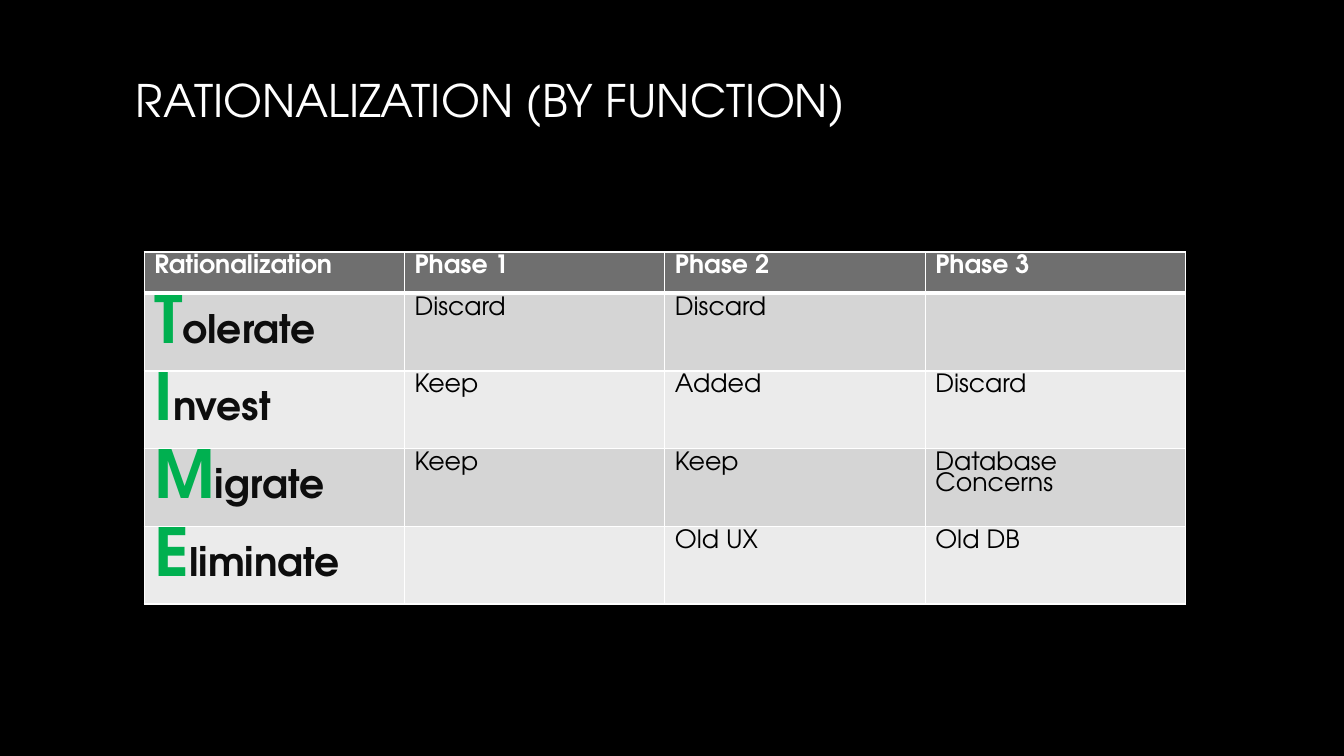
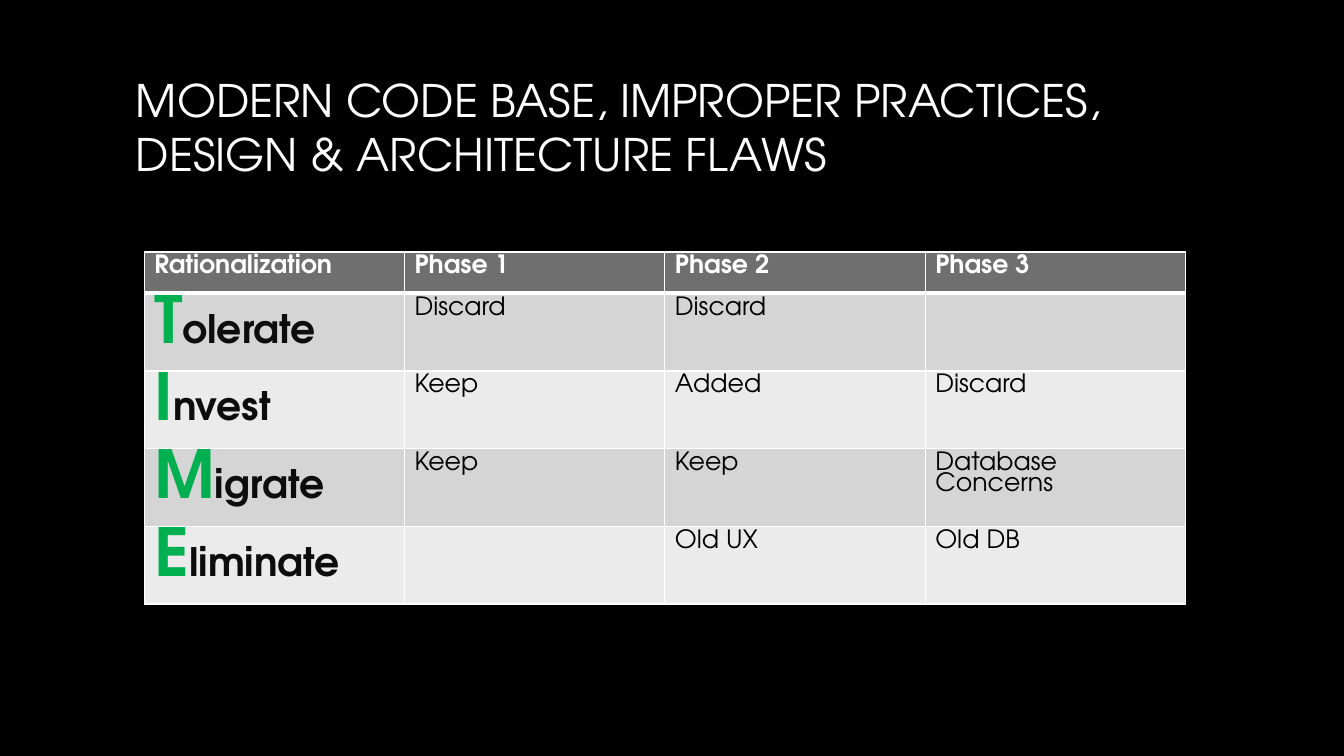
"""Build two rationalization slides that share one title style and one phase table."""
import pptx
import pptx.dml.color
import pptx.enum.text
import pptx.oxml.ns
import pptx.util
from lxml import etree

Inches, Pt = pptx.util.Inches, pptx.util.Pt
RGBColor = pptx.dml.color.RGBColor

TITLES = [
    "RATIONALIZATION (BY FUNCTION)",
    "MODERN CODE BASE, IMPROPER PRACTICES, DESIGN & ARCHITECTURE FLAWS",
]
HEADINGS = ["Rationalization", "Phase 1", "Phase 2", "Phase 3"]
STRATEGIES = [
    ["Tolerate", "Discard", "Discard", ""],
    ["Invest", "Keep", "Added", "Discard"],
    ["Migrate", "Keep", "Keep", "Database Concerns"],
    ["Eliminate", "", "Old UX", "Old DB"],
]

FONT = "TeX Gyre Adventor"
BLACK = RGBColor(0x00, 0x00, 0x00)
WHITE = RGBColor(0xFF, 0xFF, 0xFF)
SILVER = RGBColor(0xA6, 0xA6, 0xA6)
GREEN = RGBColor(0x00, 0xB0, 0x50)
INK = RGBColor(0x0D, 0x0D, 0x0D)
HEADER_FILL = RGBColor(0x6F, 0x6F, 0x6F)
BAND_FILLS = [RGBColor(0xD5, 0xD5, 0xD5), RGBColor(0xEB, 0xEB, 0xEB)]

TITLE_BOX = (1.25, 0.67, 10.83, 2.08)
TABLE_LEFT, TABLE_TOP, TABLE_WIDTH = 1.43, 2.5, 10.33
HEADER_HEIGHT, ROW_HEIGHT = 0.41, 0.71
TABLE_LINE_SPACING = 0.9


def add_run(paragraph, text, size, color=None, bold=False):
    run = paragraph.add_run()
    run.text = text
    run.font.name = FONT
    run.font.size = Pt(size)
    run.font.bold = bold
    if color is not None:
        run.font.color.rgb = color
    return run


def add_title(slide, text):
    frame = slide.shapes.add_textbox(*map(Inches, TITLE_BOX)).text_frame
    frame.word_wrap = True
    frame.vertical_anchor = pptx.enum.text.MSO_ANCHOR.TOP
    fill = add_run(frame.paragraphs[0], text, 32).font.fill
    fill.gradient()
    fill.gradient_angle = 267
    for stop, color in zip(fill.gradient_stops, (WHITE, SILVER)):
        stop.color.rgb = color


def set_borders(cell, widths):
    properties = cell._tc.get_or_add_tcPr()
    qualify = pptx.oxml.ns.qn
    for side, width in widths.items():
        line = etree.SubElement(properties, qualify(f"a:ln{side}"), w=str(Pt(width)))
        fill = etree.SubElement(line, qualify("a:solidFill"))
        etree.SubElement(fill, qualify("a:srgbClr"), val=str(WHITE))


def fill_cell(cell, text, row, column):
    header = row == 0
    set_borders(cell, {"L": 1, "R": 1, "T": 3 if row == 1 else 1, "B": 3 if header else 1})
    cell.fill.solid()
    cell.fill.fore_color.rgb = HEADER_FILL if header else BAND_FILLS[(row - 1) % 2]
    cell.margin_bottom = 0
    paragraph = cell.text_frame.paragraphs[0]
    paragraph.line_spacing = TABLE_LINE_SPACING
    if header:
        add_run(paragraph, text, 18, WHITE, True)
    elif column == 0:
        add_run(paragraph, text[0], 48, GREEN, True)
        add_run(paragraph, text[1:], 28, INK, True)
    elif text:
        add_run(paragraph, text, 18, BLACK)


def add_phase_table(slide):
    rows = [HEADINGS] + STRATEGIES
    heights = [HEADER_HEIGHT] + [ROW_HEIGHT] * len(STRATEGIES)
    box = (TABLE_LEFT, TABLE_TOP, TABLE_WIDTH, sum(heights))
    table = slide.shapes.add_table(len(rows), len(HEADINGS), *map(Inches, box)).table
    for column in table.columns:
        column.width = Inches(TABLE_WIDTH / len(HEADINGS))
    for row, (texts, height) in enumerate(zip(rows, heights)):
        table.rows[row].height = Inches(height)
        for column, text in enumerate(texts):
            fill_cell(table.cell(row, column), text, row, column)


def main():
    presentation = pptx.Presentation()
    presentation.slide_width = Inches(13.33)
    presentation.slide_height = Inches(7.5)
    for title in TITLES:
        slide = presentation.slides.add_slide(presentation.slide_layouts[6])
        slide.background.fill.solid()
        slide.background.fill.fore_color.rgb = BLACK
        add_title(slide, title)
        add_phase_table(slide)
    presentation.save("out.pptx")


if __name__ == "__main__":
    main()
